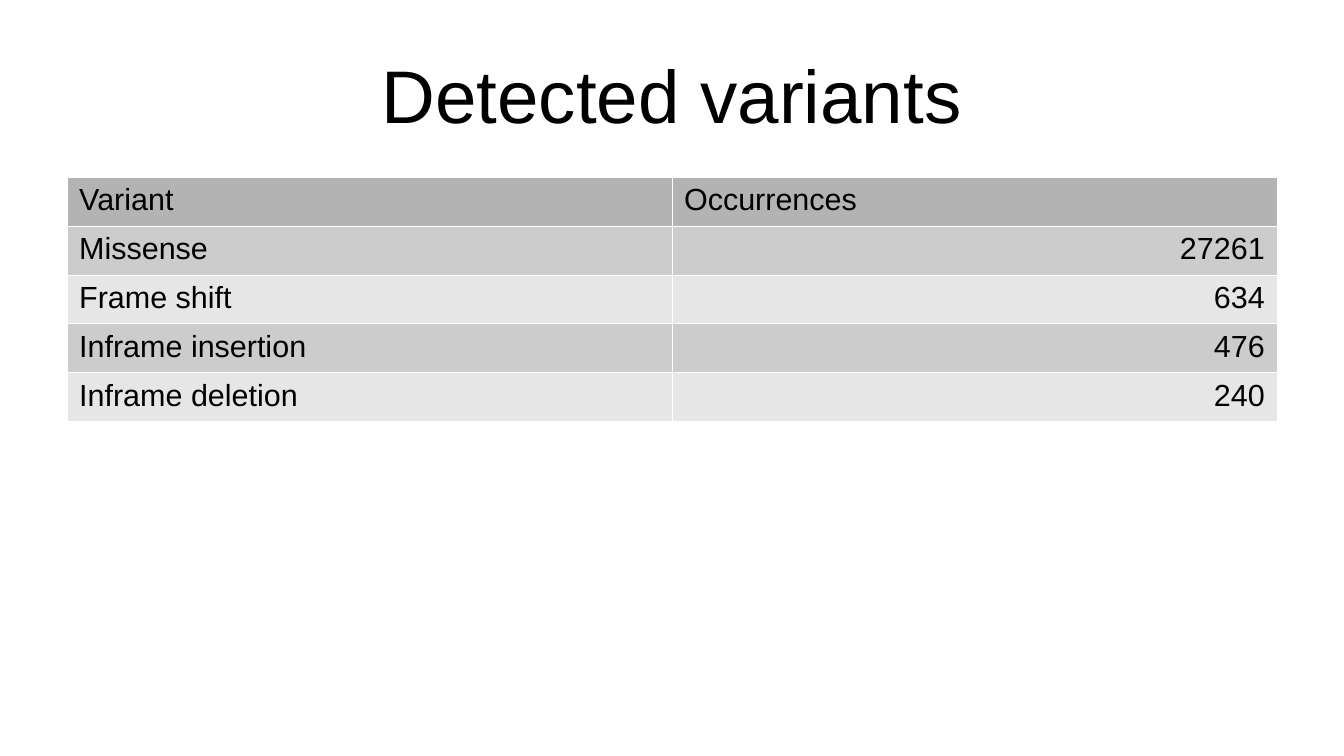
from lxml.etree import SubElement as Sub
from pptx import Presentation
from pptx.dml.color import RGBColor as Rgb
from pptx.enum.text import MSO_ANCHOR as Anchor, PP_ALIGN as Align
from pptx.oxml.ns import qn
from pptx.util import Pt

SCALE = 914400 / 122
HUES = {"ink": "000000", "edge": "FFFFFF", "head": "B3B3B3",
        "dark": "CCCCCC", "light": "E6E6E6"}
ROWS = [("Variant", "Occurrences"), ("Missense", "27261"),
        ("Frame shift", "634"), ("Inframe insertion", "476"),
        ("Inframe deletion", "240")]


def px(size):
    return round(size * SCALE)


def write(frame, text, size=18, font="Arial", hue="ink", align=Align.LEFT):
    para = frame.paragraphs[0]
    para.alignment = align
    run = para.add_run()
    run.text = text
    run.font.size = Pt(size)
    run.font.name = font
    run.font.color.rgb = Rgb.from_string(HUES[hue])


class Deck:
    """Holds the style and the current slide."""

    def __init__(self, width, height):
        self.show = Presentation()
        self.show.slide_width = px(width)
        self.show.slide_height = px(height)
        self.slide = self.show.slides.add_slide(self.show.slide_layouts[6])

    def text(self, box, text, **style):
        frame = self.slide.shapes.add_textbox(*map(px, box)).text_frame
        frame.word_wrap = True
        frame.vertical_anchor = Anchor.MIDDLE
        frame.margin_left = frame.margin_right = 0
        frame.margin_top = frame.margin_bottom = 0
        write(frame, text, **style)

    def edge(self, cell):
        props = cell._tc.get_or_add_tcPr()
        for side in "LRTB":
            line = Sub(props, qn(f"a:ln{side}"), w=str(Pt(0.06)))
            fill = Sub(line, qn("a:solidFill"))
            Sub(fill, qn("a:srgbClr"), val=HUES["edge"])

    def table(self, box, rows):
        shape = self.slide.shapes.add_table(len(rows), len(rows[0]),
                                            *map(px, box))
        for r, row in enumerate(rows):
            band = "head" if r == 0 else "dark" if r % 2 else "light"
            for c, text in enumerate(row):
                cell = shape.table.cell(r, c)
                self.edge(cell)
                cell.fill.solid()
                cell.fill.fore_color.rgb = Rgb.from_string(HUES[band])
                side = Align.RIGHT if r and c else Align.LEFT
                write(cell.text_frame, text, align=side)


deck = Deck(1344, 756)
deck.text((67, 49, 1210, 89), "Detected variants", size=44, align=Align.CENTER)
deck.table((67, 177, 1210, 244), ROWS)
deck.show.save("out.pptx")
